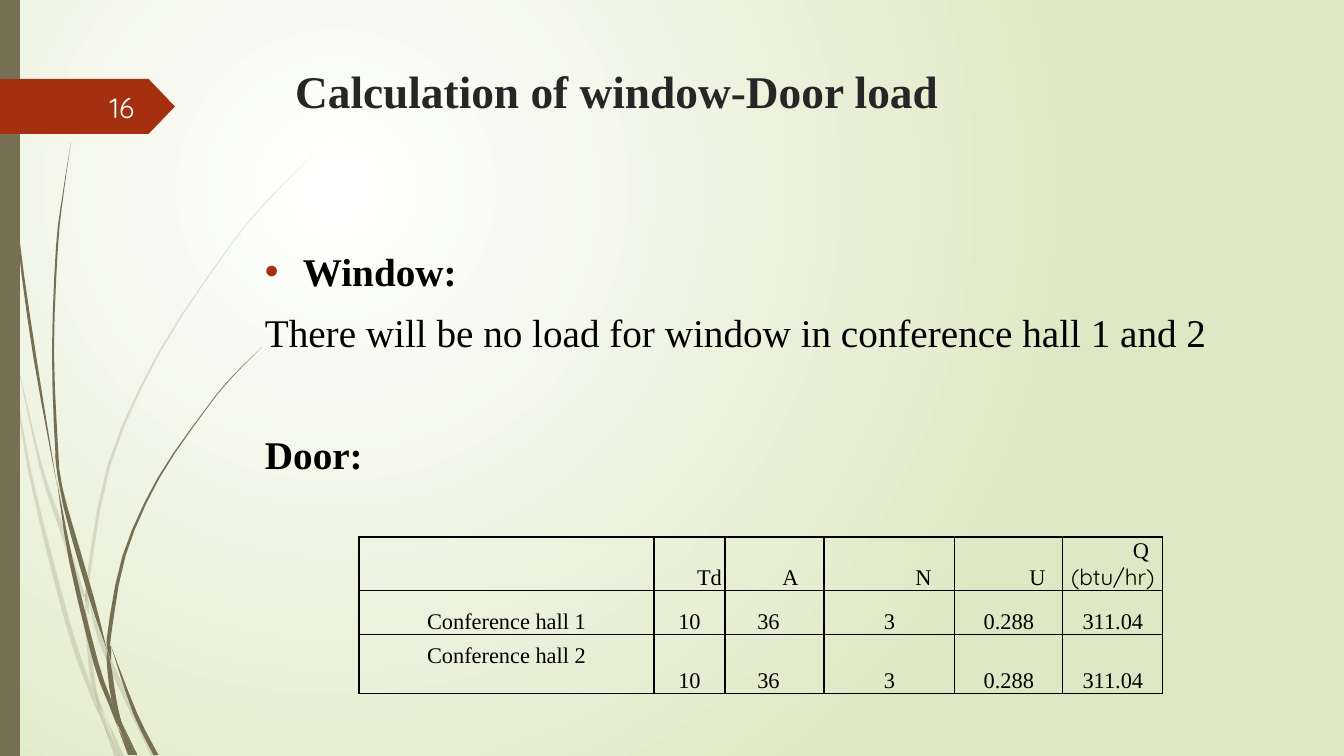
from pptx import Presentation
from pptx import util as u
from pptx.dml.color import RGBColor
from pptx.enum import shapes, text
from pptx.oxml import parse_xml
from pptx.oxml.ns import nsdecls, qn

PX = 914400 / 100.8
HUES = {"olive": "766F54", "rust": "A53010", "white": "FFFFFF", "lime": "DFE8C4",
        "black": "000000", "title": "262626", "num": "FEFFFF"}
SERIF, SANS = "Times New Roman", "Quicksand"
MID = text.PP_ALIGN.CENTER

PALE = [
    [(0, 293, 1), (10, 353, 1)],
    [(14, 348, 0), (41, 467, 3), (60, 524, 5), (84, 597, 3)],
    [(89, 601, 0), (101, 641, 5), (126, 698, 5), (154, 757, 5)],
    [(106, 717, 0), (122, 757, 5)],
    [(11, 353, 0), (30, 473, 3), (68, 624, 5), (92, 694, 4), (102, 720, 0)],
    [(85, 604, 0), (88, 635, 4), (94, 688, 4), (106, 717, 0)],
    [(314, 154, 0), (270, 198, 1), (230, 246, 1), (160, 351, 2), (109, 465, 3),
     (87, 588, 3), (89, 601, 0)],
    [(102, 720, 0), (117, 757, 5)],
    [(86, 591, 1), (87, 603, 4), (89, 615, 0)],
    [(94, 688, 0), (103, 719, 4), (120, 757, 0)],
]
DARK = [
    [(3, 0, 1), (8, 110, 1), (18, 235, 2), (35, 358, 3), (57, 485, 0)],
    [(60, 476, 0), (66, 509, 4), (91, 596, 5), (107, 650, 0)],
    [(111, 646, 0), (135, 713, 4), (156, 755, 5)],
    [(57, 481, 0), (71, 561, 4), (96, 663, 5), (111, 705, 4), (118, 728, 0)],
    [(71, 142, 0), (63, 195, 1), (57, 247, 2), (53, 352, 2), (57, 455, 3), (60, 476, 0)],
    [(123, 725, 0), (136, 755, 3)],
    [(55, 453, 0), (59, 476, 3), (64, 509, 0)],
    [(262, 347, 0), (233, 376, 1), (206, 409, 1), (158, 479, 2), (124, 556, 3),
     (109, 637, 4), (111, 646, 0)],
    [(118, 728, 0), (130, 755, 4)],
    [(107, 650, 0), (109, 665, 4), (114, 700, 5), (122, 725, 0)],
    [(107, 636, 0), (109, 648, 4), (111, 661, 0)],
    [(111, 697, 0), (120, 724, 5), (133, 755, 3)],
]
HEADS = [("Td", 40), ("A", 32), ("N", 68), ("U", 57), ("Q", 56)]
LOADS = ["10", "36", "3", "0.288", "311.04"]


def emu(n):
    """Turn pixels into EMU."""
    return u.Emu(round(n * PX))


def rgb(key):
    """Look up a colour."""
    return RGBColor.from_string(HUES[key])


def style(par, size, key, face=SERIF, bold=False):
    """Set the font of a paragraph."""
    font = par.font
    font.size, font.name, font.bold = u.Pt(size), face, bold
    font.color.rgb = rgb(key)


def paint(shape, key):
    """Give a shape a flat fill without line or shadow."""
    shape.shadow.inherit = False
    shape.fill.solid()
    shape.fill.fore_color.rgb = rgb(key)
    shape.line.fill.background()


def smooth(knots, steps=3):
    """Run a Catmull-Rom curve through the knots."""
    ext = [knots[0], *knots, knots[-1]]
    out = []
    for a, b, c, d in zip(ext, ext[1:], ext[2:], ext[3:]):
        for t in (i / steps for i in range(steps)):
            out.append(tuple(
                q + t * (r - p + t * (2 * p - 5 * q + 4 * r - s
                                      + t * (3 * q - p - 3 * r + s))) / 2
                for p, q, r, s in zip(a, b, c, d)))
    return out + [knots[-1]]


def stalk(slide, knots, alpha=None):
    """Draw one grass blade from centre points and widths."""
    line = smooth(knots)
    rim = [(x - w / 2, y) for x, y, w in line] + [(x + w / 2, y) for x, y, w in line[::-1]]
    rim = [(emu(x), emu(y)) for x, y in rim]
    pen = slide.shapes.build_freeform(*rim[0])
    pen.add_line_segments(rim[1:])
    leaf = pen.convert_to_shape()
    paint(leaf, "olive")
    if alpha:
        tone = leaf.fill._xPr.find(".//" + qn("a:srgbClr"))
        tone.append(parse_xml(f'<a:alpha {nsdecls("a")} val="{alpha * 1000}"/>'))


def backdrop(slide):
    """Fill the background with a radial gradient."""
    fill = slide.background.fill
    fill.gradient()
    for stop, key, pos in zip(fill.gradient_stops, ("white", "lime"), (0, 1)):
        stop.color.rgb, stop.position = rgb(key), pos
    grad = slide._element.find(".//" + qn("a:gradFill"))
    grad.replace(grad.find(qn("a:lin")), parse_xml(
        f'<a:path {nsdecls("a")} path="circle">'
        '<a:fillToRect l="50000" t="50000" r="100000" b="100000"/></a:path>'))


def decor(slide, box):
    """Draw the grass and the left bar."""
    for knots in PALE:
        stalk(slide, knots, 20)
    for knots in DARK:
        stalk(slide, knots)
    paint(slide.shapes.add_shape(shapes.MSO_SHAPE.RECTANGLE, *map(emu, box)), "olive")


def badge(slide, box):
    """Draw the page tag and its number."""
    x, y, w, h = box
    tag = slide.shapes.add_shape(shapes.MSO_SHAPE.PENTAGON, *map(emu, box))
    tag.adjustments[0] = 0.48
    paint(tag, "rust")
    frame = slide.shapes.add_textbox(emu(x + 58), emu(y + 8), emu(86), emu(40)).text_frame
    frame.word_wrap, frame.vertical_anchor = True, text.MSO_ANCHOR.MIDDLE
    par = frame.paragraphs[0]
    par.text, par.alignment = "16", text.PP_ALIGN.RIGHT
    style(par, 20, "num", SANS)


def heading(slide, box):
    """Place the title."""
    top = slide.shapes.title
    top.left, top.top, top.width, top.height = map(emu, box)
    frame = top.text_frame
    frame.auto_size, frame.vertical_anchor = text.MSO_AUTO_SIZE.NONE, text.MSO_ANCHOR.TOP
    par = frame.paragraphs[0]
    par.text, par.alignment = "Calculation of window-Door load", text.PP_ALIGN.LEFT
    style(par, 32.4, "title", bold=True)


def body(slide, box):
    """Write the window and door lines."""
    frame = slide.shapes.add_textbox(*map(emu, box)).text_frame
    frame.word_wrap = True
    rows = [("Window:", True, 0),
            ("There will be no load for window in conference hall 1 and 2", False, 10),
            ("Door:", True, 54)]
    for i, (line, bold, gap) in enumerate(rows):
        par = frame.add_paragraph() if i else frame.paragraphs[0]
        par.text, par.space_before = line, u.Pt(gap)
        style(par, 28, "black", bold=bold)
    prop = frame.paragraphs[0]._p.get_or_add_pPr()
    prop.set("marL", str(emu(38)))
    prop.set("indent", str(emu(-38)))
    for tag in (f'buClr {nsdecls("a")}><a:srgbClr val="{HUES["rust"]}"/></a:buClr>',
                f'buFont {nsdecls("a")} typeface="Arial"/>',
                f'buChar {nsdecls("a")} char="•"/>'):
        prop.append(parse_xml("<a:" + tag))


def entry(par, line, shift=0, face=SERIF):
    """Write a centred cell line, pushed right or left by an indent."""
    par.text, par.alignment = line, MID
    style(par, 16, "black", face)
    if shift:
        par._p.get_or_add_pPr().set("marL" if shift > 0 else "marR", str(emu(abs(shift))))


def grid(slide, box, cols, rows):
    """Build the door load table."""
    table = slide.shapes.add_table(len(rows), len(cols), *map(emu, box)).table
    table.first_row = table.horz_banding = False
    for col, w in zip(table.columns, cols):
        col.width = emu(w)
    for row, h in zip(table.rows, rows):
        row.height = emu(h)
    for cell in table.iter_cells():
        cell.margin_left = cell.margin_right = emu(1)
        cell.margin_top = cell.margin_bottom = 0
        cell.vertical_anchor = text.MSO_ANCHOR.BOTTOM
        for side in "LRTB":
            cell._tc.get_or_add_tcPr().append(parse_xml(
                f'<a:ln{side} {nsdecls("a")} w="12700"><a:solidFill>'
                f'<a:srgbClr val="{HUES["black"]}"/></a:solidFill></a:ln{side}>'))
        cell.fill.background()
    for c, (head, shift) in enumerate(HEADS, 1):
        entry(table.cell(0, c).text_frame.paragraphs[0], head, shift)
    entry(table.cell(0, 5).text_frame.add_paragraph(), "(btu/hr)", face=SANS)
    for r in (1, 2):
        for c, line in enumerate([f"Conference hall {r}", *LOADS]):
            entry(table.cell(r, c).text_frame.paragraphs[0], line, -12 if c == 2 else 0)
    last = table.cell(2, 0)
    last.vertical_anchor, last.margin_top = text.MSO_ANCHOR.TOP, emu(9)


def main():
    """Build the slide and save it."""
    deck = Presentation()
    deck.slide_width, deck.slide_height = emu(1344), emu(756)
    slide = deck.slides.add_slide(deck.slide_layouts[5])
    backdrop(slide)
    decor(slide, (0, 0, 20, 756))
    badge(slide, (0, 79, 175, 55))
    grid(slide, (359, 537, 804, 156), (295, 71, 99, 131, 108, 100), (53, 44, 59))
    heading(slide, (285, 58, 969, 53))
    body(slide, (255, 242, 1034, 366))
    deck.save("out.pptx")


main()
